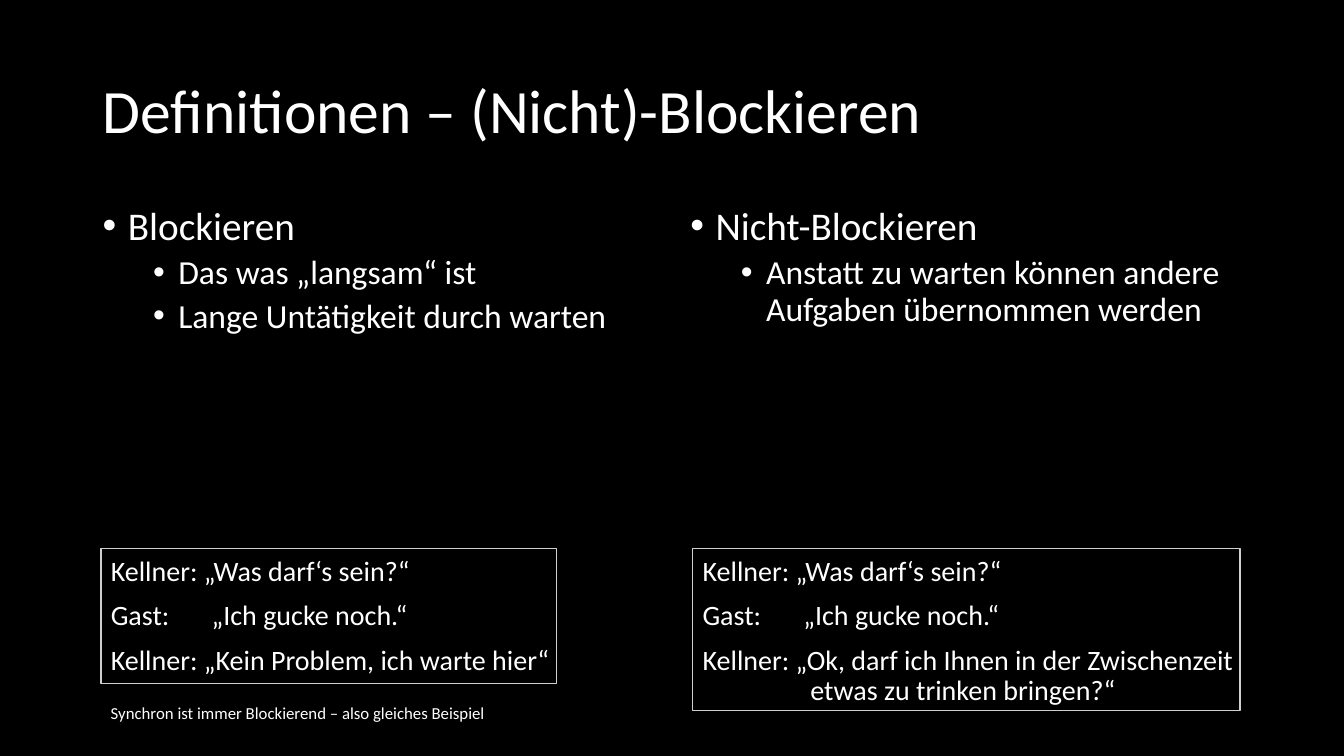
from dataclasses import dataclass

from lxml.etree import SubElement
from pptx import Presentation
from pptx.dml.color import RGBColor
from pptx.enum.shapes import MSO_SHAPE
from pptx.enum.text import MSO_ANCHOR, MSO_AUTO_SIZE
from pptx.oxml.ns import qn
from pptx.slide import Slide
from pptx.text.text import TextFrame
from pptx.util import Inches, Pt

COLORS = {"background": "000000", "text": "FFFFFF", "frame": "D0CECE"}
FONT = "Calibri"
QUOTE_TAB = 0.97
CONTINUATION_INDENT = 1.07


@dataclass
class Definition:
    left: float
    height: float
    term: str
    points: list[str]


@dataclass
class Dialogue:
    left: float
    text_width: float
    text_height: float
    frame_width: float
    frame_height: float
    answer: str


DEFINITIONS = [
    Definition(0.92, 1.97, "Blockieren",
               ["Das was „langsam“ ist", "Lange Untätigkeit durch warten"]),
    Definition(6.75, 2.31, "Nicht-Blockieren",
               ["Anstatt zu warten können andere Aufgaben übernommen werden"]),
]
DIALOGUES = [
    Dialogue(1, 4.59, 1.34, 4.52, 1.34,
             "Kellner: „Kein Problem, ich warte hier“"),
    Dialogue(6.87, 5.5, 1.58, 5.43, 1.61,
             "Kellner: „Ok, darf ich Ihnen in der Zwischenzeit\v"
             "etwas zu trinken bringen?“"),
]


def add_text_area(slide: Slide, left: float, top: float, width: float,
                  height: float, wrap: bool = True) -> TextFrame:
    area = slide.shapes.add_textbox(
        Inches(left), Inches(top), Inches(width), Inches(height))
    area.text_frame.word_wrap = wrap
    return area.text_frame


def write(frame: TextFrame, text: str, *, size: float, line_spacing: float = 0.9,
          before: float = 0, level: int = 0, margin: float = 0,
          hanging: float = 0, bullet: str = "", tab: float = 0) -> None:
    """Fill the first paragraph if it is empty, otherwise append one."""
    first = frame.paragraphs[0]
    paragraph = frame.add_paragraph() if first.runs else first
    paragraph.text = text
    paragraph.level = level
    paragraph.line_spacing = line_spacing
    paragraph.space_before = Pt(before)
    for run in paragraph.runs:
        run.font.name = FONT
        run.font.size = Pt(size)
        run.font.color.rgb = RGBColor.from_string(COLORS["text"])

    properties = paragraph._p.get_or_add_pPr()
    properties.set("marL", str(Inches(margin)))
    properties.set("indent", str(-Inches(hanging)))
    if bullet:
        SubElement(properties, qn("a:buFont"), typeface="Arial")
        SubElement(properties, qn("a:buChar"), char=bullet)
    if tab:
        stops = SubElement(properties, qn("a:tabLst"))
        SubElement(stops, qn("a:tab"), pos=str(Inches(tab)), algn="l")


def add_definition(slide: Slide, definition: Definition) -> None:
    frame = add_text_area(slide, definition.left, 2, 5.67, definition.height)
    write(frame, definition.term, size=28, before=10,
          margin=0.25, hanging=0.25, bullet="•")
    for point in definition.points:
        write(frame, point, size=24, before=5, level=1,
              margin=0.75, hanging=0.25, bullet="•")


def add_dialogue(slide: Slide, dialogue: Dialogue) -> None:
    frame = add_text_area(slide, dialogue.left, 5.48,
                          dialogue.text_width, dialogue.text_height)
    write(frame, "Kellner: „Was darf‘s sein?“", size=20, before=10)
    write(frame, "Gast:\t„Ich gucke noch.“", size=20, before=10, tab=QUOTE_TAB)
    write(frame, dialogue.answer, size=20, before=10,
          margin=CONTINUATION_INDENT, hanging=CONTINUATION_INDENT)


def add_dialogue_frame(slide: Slide, dialogue: Dialogue) -> None:
    border = slide.shapes.add_shape(
        MSO_SHAPE.RECTANGLE, Inches(dialogue.left), Inches(5.44),
        Inches(dialogue.frame_width), Inches(dialogue.frame_height))
    border.shadow.inherit = False
    border.fill.background()
    border.line.color.rgb = RGBColor.from_string(COLORS["frame"])
    border.line.width = Pt(1)


def main() -> None:
    presentation = Presentation()
    presentation.slide_width = Inches(13.33)
    presentation.slide_height = Inches(7.5)
    slide = presentation.slides.add_slide(presentation.slide_layouts[6])
    slide.background.fill.solid()
    slide.background.fill.fore_color.rgb = RGBColor.from_string(
        COLORS["background"])

    # Title
    title = add_text_area(slide, 0.92, 0.4, 11.5, 1.45)
    title.vertical_anchor = MSO_ANCHOR.MIDDLE
    write(title, "Definitionen – (Nicht)-Blockieren", size=44)

    # Definitions side by side
    for definition in DEFINITIONS:
        add_definition(slide, definition)

    # Example dialogues
    for dialogue in DIALOGUES:
        add_dialogue(slide, dialogue)

    # Remark under the left dialogue
    remark = add_text_area(slide, 1, 6.92, 3.96, 0.3, wrap=False)
    remark.auto_size = MSO_AUTO_SIZE.SHAPE_TO_FIT_TEXT
    write(remark, "Synchron ist immer Blockierend – also gleiches Beispiel",
          size=12, line_spacing=1.0)

    # Frames around the dialogues
    for dialogue in DIALOGUES:
        add_dialogue_frame(slide, dialogue)

    presentation.save("out.pptx")


if __name__ == "__main__":
    main()
